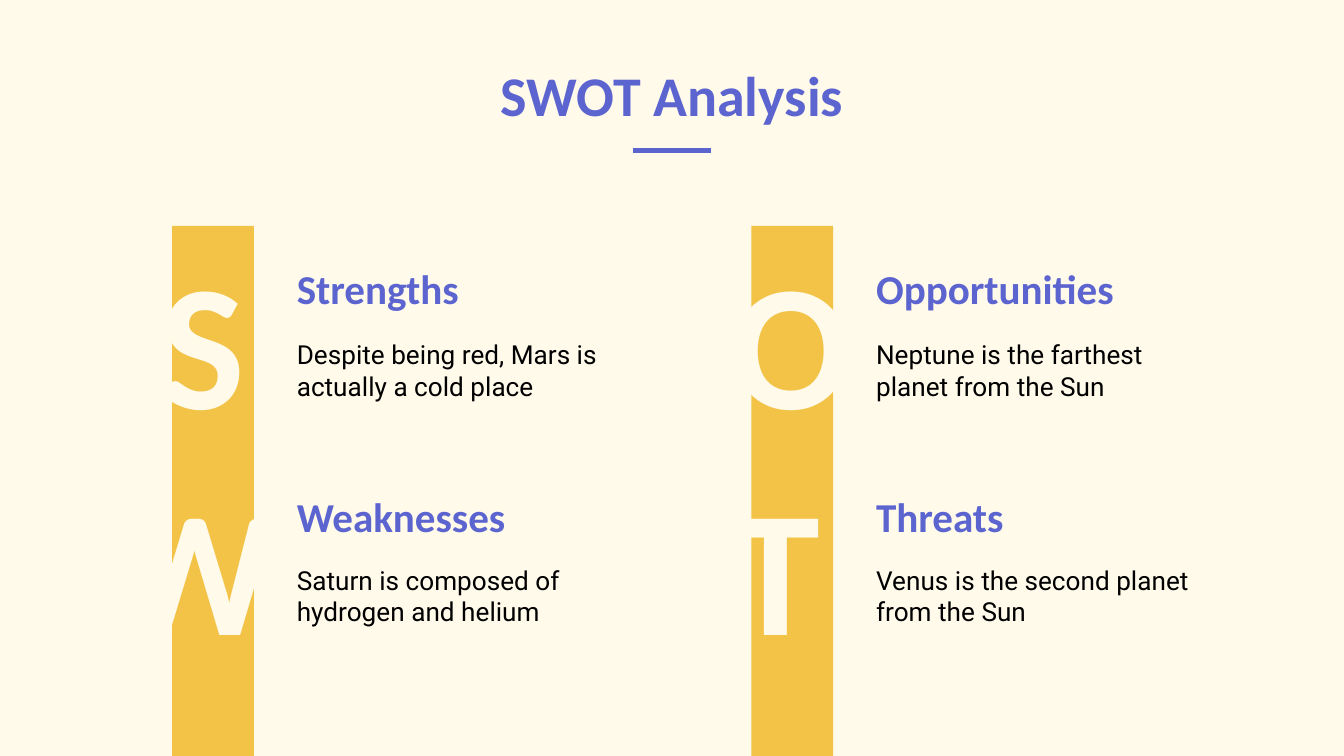
from pptx import Presentation
from pptx.dml.color import RGBColor
from pptx.enum.shapes import MSO_CONNECTOR, MSO_SHAPE
from pptx.enum.text import MSO_ANCHOR, MSO_AUTO_SIZE, PP_ALIGN
from pptx.util import Inches, Pt
from lxml.etree import SubElement
from pptx.oxml.ns import qn

TITLE = "SWOT Analysis"
COLUMNS = [
    [("S", "Strengths", "Despite being red, Mars is actually a cold place"),
     ("W", "Weaknesses", "Saturn is composed of hydrogen and helium")],
    [("O", "Opportunities", "Neptune is the farthest planet from the Sun"),
     ("T", "Threats", "Venus is the second planet from the Sun")],
]

WIDTH = 10
HEIGHT = WIDTH * 9 / 16
CREAM, INDIGO, YELLOW, BLACK = "FFFAEA", "5C65CF", "F3C347", "000000"
BAR_LEFT, BAR_TOP, BAR_WIDTH, BAR_HEIGHT = 1.28, 1.68, 0.61, 4.05
COLUMN_PITCH, ROW_PITCH, HEADING_PITCH = 4.31, 1.68, 1.69
TEXT_OFFSET, TEXT_WIDTH, TEXT_HEIGHT = 0.83, 2.65, 0.82
HEADING_TOP, BODY_TOP = 1.61, 2.42
LETTER_RIGHTS, LETTER_WIDTHS, LETTER_HEIGHT = (1.92, 6.2), (0.86, 1.17), 1.67
RULE_WIDTH, RULE_TOP = 0.58, 1.12

TITLE_STYLE = {"name": "Calibri", "size": Pt(30), "bold": True}
HEADING_STYLE = {"name": "Calibri", "size": Pt(22), "bold": True}
BODY_STYLE = {"name": "Roboto", "size": Pt(14), "bold": False}
LETTER_STYLE = {"name": "Calibri", "size": Pt(96), "bold": True}


def color(value):
    """Turn a hex string into a colour."""
    return RGBColor.from_string(value)


def set_values(target, values):
    """Set each named attribute on the target."""
    for name, value in values.items():
        setattr(target, name, value)


def write_text(shape, text, style, ink, anchor, alignment=PP_ALIGN.LEFT):
    """Fill a shape with one formatted paragraph."""
    frame = shape.text_frame
    margins = dict.fromkeys(("margin_left", "margin_top", "margin_right", "margin_bottom"), Inches(0.1))
    set_values(frame, {"text": text, "word_wrap": True, "auto_size": MSO_AUTO_SIZE.NONE,
                       "vertical_anchor": anchor, **margins})
    paragraph = frame.paragraphs[0]
    set_values(paragraph, {"alignment": alignment, "line_spacing": 1.0})
    set_values(paragraph.font, style)
    paragraph.font.color.rgb = color(ink)


def add_text(slide, box, *content):
    """Add a text box at the given place in inches."""
    write_text(slide.shapes.add_textbox(*map(Inches, box)), *content)


def add_title(slide):
    """Place the title and the short rule below it."""
    title = slide.shapes.title
    box = {"left": 0.78, "top": 0.22, "width": WIDTH - 2 * 0.78, "height": 0.83}
    set_values(title, {name: Inches(value) for name, value in box.items()})
    write_text(title, TITLE, TITLE_STYLE, INDIGO, MSO_ANCHOR.BOTTOM, PP_ALIGN.CENTER)
    start, end = (WIDTH - RULE_WIDTH) / 2, (WIDTH + RULE_WIDTH) / 2
    rule = slide.shapes.add_connector(
        MSO_CONNECTOR.STRAIGHT, *map(Inches, (start, RULE_TOP, end, RULE_TOP)))
    rule.line.color.rgb = color(INDIGO)
    rule.line.width = Pt(3)
    SubElement(rule._element.spPr, qn("a:effectLst"))


def add_column(slide, index, entries):
    """Add one bar with its letters, headings and texts."""
    bar_left = BAR_LEFT + index * COLUMN_PITCH
    bar = slide.shapes.add_shape(
        MSO_SHAPE.RECTANGLE, *map(Inches, (bar_left, BAR_TOP, BAR_WIDTH, BAR_HEIGHT)))
    bar.shadow.inherit = False
    bar.fill.solid()
    bar.fill.fore_color.rgb = color(YELLOW)
    bar.line.fill.background()
    text_left = bar_left + TEXT_OFFSET
    for row, (letter, heading, body) in enumerate(entries):
        shift = row * ROW_PITCH
        letter_width = LETTER_WIDTHS[row]
        add_text(slide, (LETTER_RIGHTS[index] - letter_width, BAR_TOP + shift, letter_width, LETTER_HEIGHT),
                 letter, LETTER_STYLE, CREAM, MSO_ANCHOR.MIDDLE, PP_ALIGN.RIGHT)
        add_text(slide, (text_left, HEADING_TOP + row * HEADING_PITCH, TEXT_WIDTH, TEXT_HEIGHT),
                 heading, HEADING_STYLE, INDIGO, MSO_ANCHOR.BOTTOM)
        add_text(slide, (text_left, BODY_TOP + shift, TEXT_WIDTH, TEXT_HEIGHT),
                 body, BODY_STYLE, BLACK, MSO_ANCHOR.TOP)


def main():
    """Build and save the SWOT slide."""
    presentation = Presentation()
    set_values(presentation, {"slide_width": Inches(WIDTH), "slide_height": Inches(HEIGHT)})
    slide = presentation.slides.add_slide(presentation.slide_layouts[5])
    slide.background.fill.solid()
    slide.background.fill.fore_color.rgb = color(CREAM)
    add_title(slide)
    for index, entries in enumerate(COLUMNS):
        add_column(slide, index, entries)
    presentation.save("out.pptx")


if __name__ == "__main__":
    main()
